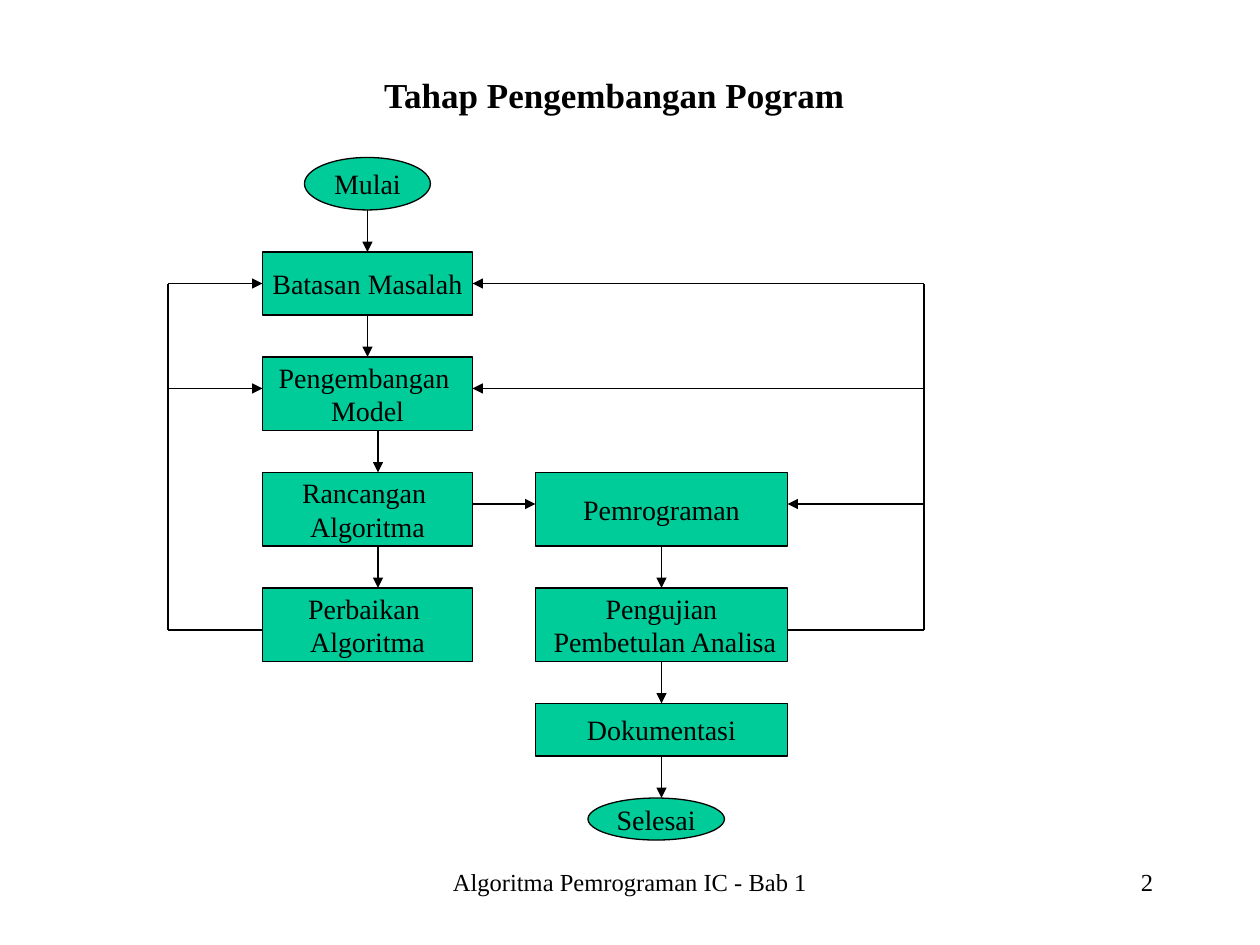
from dataclasses import dataclass

from lxml.etree import SubElement
from pptx import Presentation
from pptx.dml.color import RGBColor as Rgb
from pptx.enum.shapes import MSO_CONNECTOR as Conn, MSO_SHAPE as Kind
from pptx.enum.text import MSO_ANCHOR as Anchor, PP_ALIGN as Align
from pptx.oxml.ns import qn
from pptx.util import Pt


@dataclass(frozen=True)
class Theme:
    face: str = "Times New Roman"
    ink: Rgb = Rgb(0, 0, 0)
    fill: Rgb = Rgb(0, 0xCC, 0x99)
    head: int = 20
    body: int = 16
    foot: int = 14
    line: float = 0.75


PX = 7620  # EMU per px, 120 px to the inch


class Chart:
    """Holds the theme and the current slide; draws each kind of element."""

    def __init__(self, theme, slide):
        self.theme, self.slide = theme, slide
        self.ports = {}  # side midpoints of the boxes

    def letter(self, frame, text, size, align=Align.CENTER, bold=False):
        frame.text = text
        look = {"name": self.theme.face, "size": Pt(size), "bold": bold}
        for para in frame.paragraphs:
            para.alignment = align
            for key, val in look.items():
                setattr(para.font, key, val)
            para.font.color.rgb = self.theme.ink

    def title(self, text, *area):
        shape = self.slide.shapes.title
        for key, val in zip(("left", "top", "width", "height"), area):
            setattr(shape, key, val * PX)
        shape.text_frame.vertical_anchor = Anchor.MIDDLE
        self.letter(shape.text_frame, text, self.theme.head, bold=True)

    def label(self, text, align, *area):
        shape = self.slide.shapes.add_textbox(*(n * PX for n in area))
        shape.text_frame.word_wrap = True
        self.letter(shape.text_frame, text, self.theme.foot, align)

    def node(self, text, x, y, w, h, kind=Kind.RECTANGLE):
        area = (n * PX for n in (x, y, w, h))
        shape = self.slide.shapes.add_shape(kind, *area)
        shape.shadow.inherit = False
        shape.fill.solid()
        shape.fill.fore_color.rgb = self.theme.fill
        self.stroke(shape.line)
        shape.text_frame.word_wrap = False
        shape.text_frame.vertical_anchor = Anchor.MIDDLE
        self.letter(shape.text_frame, text, self.theme.body)
        if kind == Kind.RECTANGLE:
            mid, half = x + w // 2, y + h // 2
            sides = (mid, y), (x, half), (mid, y + h), (x + w, half)
            for site, point in enumerate(sides):
                self.ports[point] = shape, site

    def stroke(self, line):
        line.color.rgb = self.theme.ink
        line.width = Pt(self.theme.line)

    def link(self, start, end, arrow=True):
        ends = (n * PX for n in start + end)
        wire = self.slide.shapes.add_connector(Conn.STRAIGHT, *ends)
        self.stroke(wire.line)
        props = wire._element.spPr
        if arrow:
            SubElement(props.find(qn("a:ln")), qn("a:tailEnd"), type="triangle")
        SubElement(props, qn("a:effectLst"))
        for point, join in ((start, wire.begin_connect), (end, wire.end_connect)):
            if point in self.ports:
                join(*self.ports[point])


def main():
    deck = Presentation()
    deck.slide_width, deck.slide_height = 1200 * PX, 900 * PX
    chart = Chart(Theme(), deck.slides.add_slide(deck.slide_layouts[5]))
    chart.title("Tahap Pengembangan Pogram", 90, 50, 990, 80)

    # Left column of steps
    left, wide = 250, 200
    chart.node("Mulai", 290, 150, 120, 50, Kind.OVAL)
    for text, y, h in (
        ("Batasan Masalah", 240, 60),
        ("Pengembangan \nModel", 340, 70),
        ("Rancangan \nAlgoritma", 450, 70),
        ("Perbaikan \nAlgoritma", 560, 70),
    ):
        chart.node(text, left, y, wide, h)

    # Right column of steps
    right, broad = 510, 240
    for text, y, h in (
        ("Pemrograman", 450, 70),
        ("Pengujian\n Pembetulan Analisa", 560, 70),
        ("Dokumentasi", 670, 50),
    ):
        chart.node(text, right, y, broad, h)
    chart.node("Selesai", 560, 760, 130, 40, Kind.OVAL)

    # Arrows down, all across the same gap
    gap = 40
    for x, tops in ((350, (200, 300)), (360, (410, 520)), (630, (520, 630, 720))):
        for y in tops:
            chart.link((x, y), (x, y + gap))
    chart.link((left + wide, 480), (right, 480))

    # Feedback loops on both sides
    top, mid, low, base = 270, 370, 480, 600
    for rail, exit_x, stops in (
        (160, left, ((left, top), (left, mid))),
        (880, right + broad,
         ((right + broad, low), (left + wide, mid), (left + wide, top))),
    ):
        chart.link((exit_x, base), (rail, base), arrow=False)
        chart.link((rail, base), (rail, top), arrow=False)
        for x, y in stops:
            chart.link((rail, y), (x, y))

    # Footer
    chart.label("Algoritma Pemrograman IC - Bab 1", Align.CENTER, 410, 820, 380, 60)
    chart.label("2", Align.RIGHT, 860, 820, 250, 60)
    deck.save("out.pptx")


if __name__ == "__main__":
    main()
